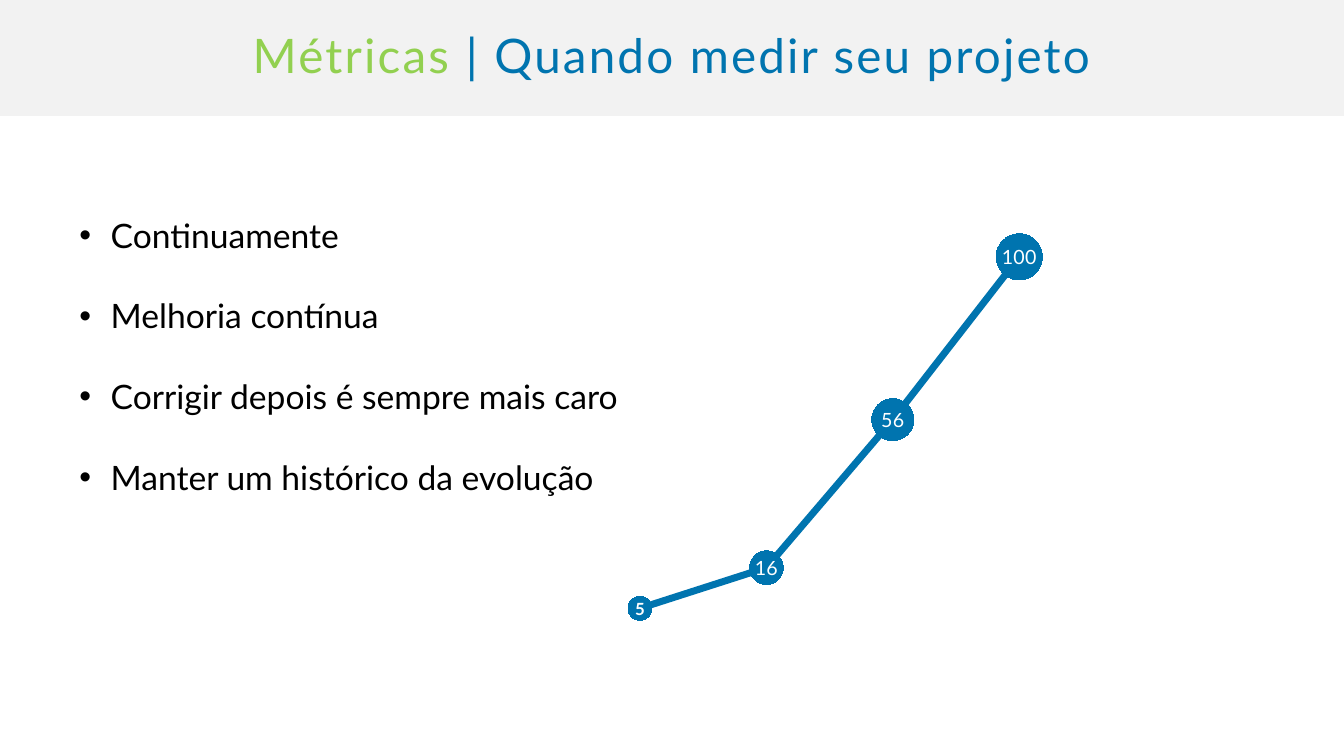
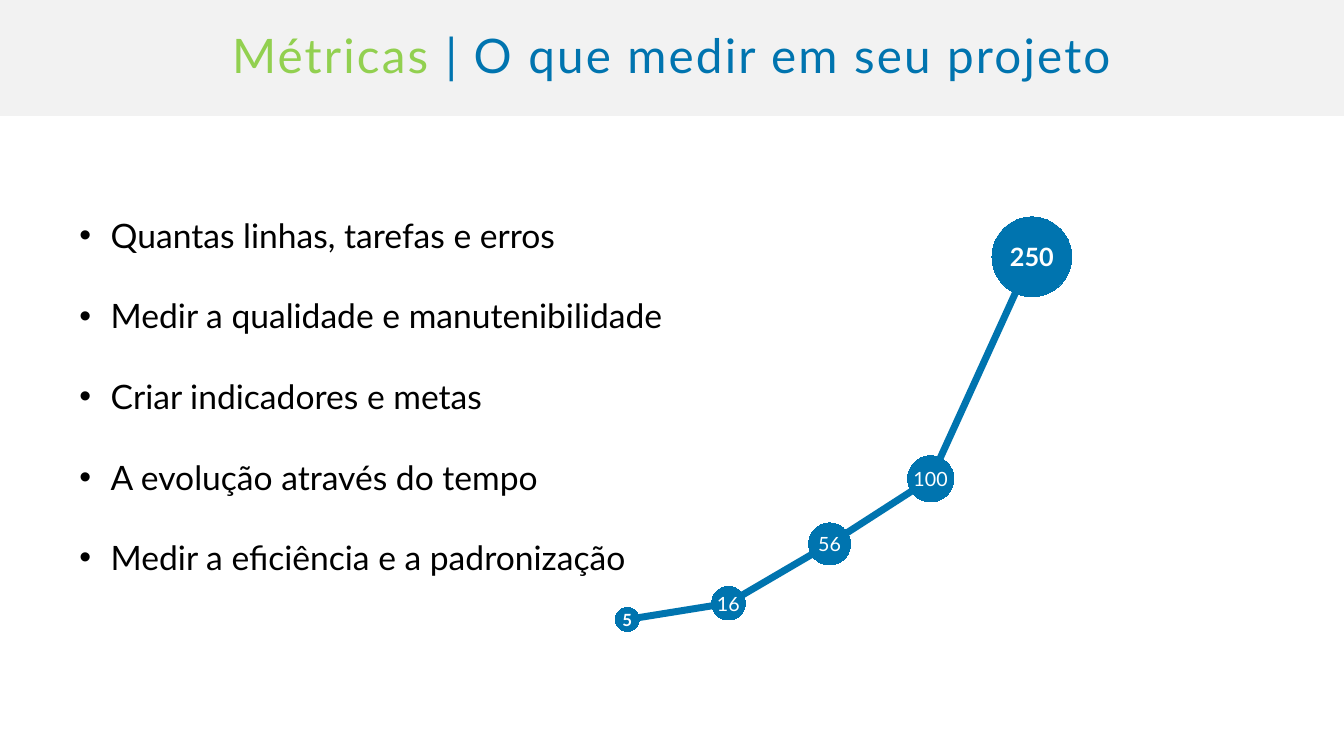
from lxml.etree import SubElement
from pptx import Presentation
from pptx.chart.data import CategoryChartData
from pptx.dml.color import RGBColor
from pptx.enum.chart import XL_CHART_TYPE, XL_LABEL_POSITION, XL_MARKER_STYLE
from pptx.enum.shapes import MSO_SHAPE
from pptx.enum.text import MSO_ANCHOR, PP_ALIGN
from pptx.oxml.ns import qn
from pptx.util import Inches, Pt

BLUE = RGBColor(0x00, 0x74, 0xAF)
GREEN = RGBColor(0x92, 0xD0, 0x50)
GRAY = RGBColor(0xF2, 0xF2, 0xF2)
BLACK = RGBColor(0x00, 0x00, 0x00)
WHITE = RGBColor(0xFF, 0xFF, 0xFF)
FONT = "Lato"
TITLE_BOX = (0, 0, 13.33, 1.15)
LIST_BOX = (0.69, 1.68, 6.33, 4.01)
CHART_BOX = (5.72, 1.49, 5.14, 5.07)
PLOT = {"x": 0, "y": 0.064, "w": 0.976, "h": 0.869}
INDENT = Inches(0.31)
HEADROOM = 1.2

# value: (marker size, label size, bold)
BUBBLES = {
    5: (17, 12, True),
    16: (24, 14, False),
    56: (30, 14, False),
    100: (33, 14, False),
    250: (57, 18, True),
}

SLIDES = [
    ("Quando medir seu projeto",
     ["Continuamente", "Melhoria contínua",
      "Corrigir depois é sempre mais caro",
      "Manter um histórico da evolução"],
     [5, 16, 56, 100]),
    ("O que medir em seu projeto",
     ["Quantas linhas, tarefas e erros",
      "Medir a qualidade e manutenibilidade",
      "Criar indicadores e metas", "A evolução através do tempo",
      "Medir a eficiência e a padronização"],
     [5, 16, 56, 100, 250]),
]


def inches(box):
    """Convert a box in inches to lengths."""
    return [Inches(v) for v in box]


def style_font(font, size, color, bold=False):
    """Apply the deck's typeface with a size, colour and weight."""
    for name, value in {"name": FONT, "size": Pt(size), "bold": bold}.items():
        setattr(font, name, value)
    font.color.rgb = color


def paint(fmt, color, width):
    """Give a chart element a solid line."""
    fmt.line.color.rgb = color
    fmt.line.width = Pt(width)


def style_marker(marker, size):
    """Make a marker a solid blue circle."""
    marker.style = XL_MARKER_STYLE.CIRCLE
    marker.size = size
    marker.format.fill.solid()
    marker.format.fill.fore_color.rgb = BLUE
    marker.format.line.color.rgb = BLUE


def add_title(s, box, topic):
    """Draw the title band with its two-coloured heading."""
    band = s.shapes.add_shape(MSO_SHAPE.RECTANGLE, *inches(box))
    band.shadow.inherit = False
    band.fill.solid()
    band.fill.fore_color.rgb = GRAY
    band.line.fill.background()
    tf = band.text_frame
    settings = {"word_wrap": True, "vertical_anchor": MSO_ANCHOR.MIDDLE,
                "margin_left": Inches(0.5), "margin_right": Inches(0.5)}
    for name, value in settings.items():
        setattr(tf, name, value)
    p = tf.paragraphs[0]
    p.alignment = PP_ALIGN.CENTER
    p.line_spacing = 0.9
    for text, color in (("Métricas", GREEN), (f" | {topic}", BLUE)):
        r = p.add_run()
        r.text = text
        style_font(r.font, 34, color)
        r.font._element.set("spc", "160")


def add_bullets(s, box, items):
    """Write the double-spaced bullet list."""
    tf = s.shapes.add_textbox(*inches(box)).text_frame
    tf.word_wrap = True
    for i, item in enumerate(items):
        p = tf.add_paragraph() if i else tf.paragraphs[0]
        p.line_spacing = 2.0
        pPr = p._p.get_or_add_pPr()
        pPr.set("marL", str(INDENT))
        pPr.set("indent", str(-INDENT))
        SubElement(pPr, qn("a:buFont"), typeface="Arial")
        SubElement(pPr, qn("a:buChar"), char="•")
        r = p.add_run()
        r.text = item
        style_font(r.font, 24, BLACK)


def set_plot_layout(chart):
    """Fix the inner plot area as shares of the chart."""
    plot_area = chart._chartSpace.chart.plotArea
    layout = plot_area.find(qn("c:layout"))
    if layout is None:
        layout = SubElement(plot_area, qn("c:layout"))
        plot_area.insert(0, layout)
    manual = SubElement(layout, qn("c:manualLayout"))
    SubElement(manual, qn("c:layoutTarget"), val="inner")
    for axis in "xy":
        SubElement(manual, qn(f"c:{axis}Mode"), val="edge")
    for name, share in PLOT.items():
        SubElement(manual, qn(f"c:{name}"), val=str(share))


def add_growth_chart(s, box, values):
    """Plot the values as a line with growing labelled circles."""
    data = CategoryChartData()
    data.categories = [str(i + 1) for i in range(len(values))]
    data.add_series("Series 1", values)
    chart = s.shapes.add_chart(
        XL_CHART_TYPE.LINE_MARKERS, *inches(box), data).chart
    chart.has_legend = False
    chart.has_title = False
    style_font(chart.font, 10, BLACK)
    set_plot_layout(chart)
    chart.value_axis.minimum_scale = 0
    chart.value_axis.maximum_scale = values[-1] * HEADROOM
    chart.value_axis.has_major_gridlines = False
    for axis in (chart.category_axis, chart.value_axis):
        axis.visible = False
    plot = chart.plots[0]
    plot.vary_by_categories = False
    line = plot.series[0]
    line.smooth = False
    paint(line.format, BLUE, 5)
    style_marker(line.marker, BUBBLES[values[0]][0])
    for i, value in enumerate(values):
        marker_size, label_size, bold = BUBBLES[value]
        point = line.points[i]
        paint(point.format, BLUE, 5)
        style_marker(point.marker, marker_size)
        style_font(point.data_label.font, label_size, WHITE, bold)
        point.data_label.position = XL_LABEL_POSITION.CENTER


def add_metric_slide(prs, topic, items, values):
    """Build one slide with a title, a list and a chart."""
    s = prs.slides.add_slide(prs.slide_layouts[6])
    add_title(s, TITLE_BOX, topic)
    add_bullets(s, LIST_BOX, items)
    add_growth_chart(s, CHART_BOX, values)


def main():
    """Build and save the deck."""
    prs = Presentation()
    prs.slide_width, prs.slide_height = inches((13.33, 7.5))
    for content in SLIDES:
        add_metric_slide(prs, *content)
    prs.save("out.pptx")


main()
